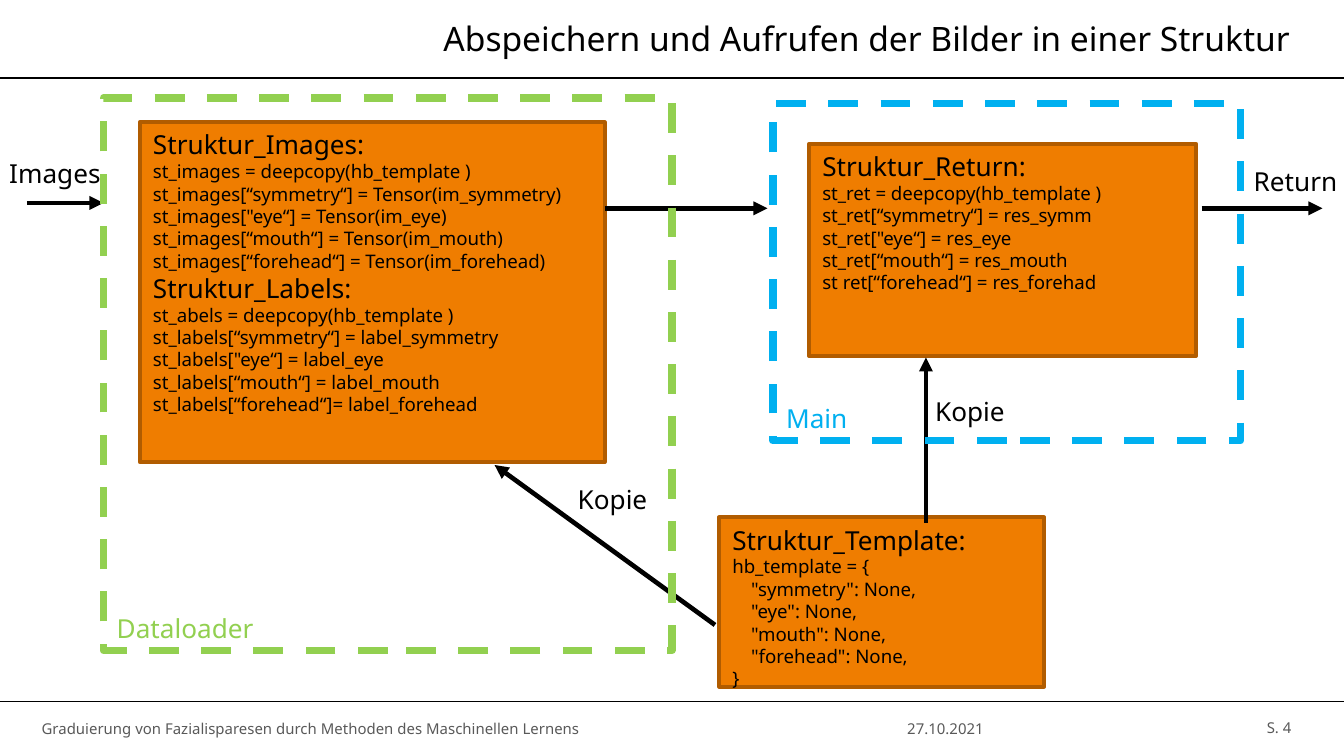
from lxml import etree
from pptx import Presentation
from pptx.dml.color import RGBColor
from pptx.enum.dml import MSO_LINE
from pptx.enum.shapes import MSO_CONNECTOR, MSO_SHAPE
from pptx.enum.text import MSO_ANCHOR, PP_ALIGN
from pptx.oxml.ns import qn
from pptx.util import Inches, Pt

RECT, STRAIGHT, DASH = MSO_SHAPE.RECTANGLE, MSO_CONNECTOR.STRAIGHT, MSO_LINE.DASH
TOP, MIDDLE, BOTTOM = MSO_ANCHOR.TOP, MSO_ANCHOR.MIDDLE, MSO_ANCHOR.BOTTOM
LEFT, CENTER, RIGHT = PP_ALIGN.LEFT, PP_ALIGN.CENTER, PP_ALIGN.RIGHT

FONT = "Noto Sans"
HEAD, CODE, SMALL = 14, 10, 8
COLORS = {"black": "000000", "gray": "595959", "orange": "EF7D00",
          "brown": "B15C00", "green": "92D050", "blue": "00B0F0"}


def color(name):
    return RGBColor.from_string(COLORS[name])


class StructureSlide:
    def __init__(self, slide):
        self.s = slide

    def paragraph(self, tf, text, size, ink, align=LEFT, indent=0):
        p = tf.paragraphs[0] if not tf.text else tf.add_paragraph()
        p.text = text
        p.alignment = align
        p.line_spacing = Pt(round(size * 1.2, 1))
        p.font.size, p.font.name = Pt(size), FONT
        p.font.color.rgb = color(ink)
        if indent:
            p._p.get_or_add_pPr().set("marL", str(Inches(indent)))

    def text(self, box, text, size=HEAD, ink="black", align=LEFT,
             anchor=TOP, margins=None):
        sp = self.s.shapes.add_textbox(*map(Inches, box))
        tf = sp.text_frame
        tf.word_wrap, tf.vertical_anchor = True, anchor
        if margins:
            tf.margin_left, tf.margin_right = map(Inches, margins)
            tf.margin_top = tf.margin_bottom = Inches(0.04)
        self.paragraph(tf, text, size, ink, align)

    def rect(self, box, line, width, anchor):
        sp = self.s.shapes.add_shape(RECT, *map(Inches, box))
        sp.shadow.inherit = False
        sp.line.color.rgb, sp.line.width = color(line), Pt(width)
        sp.text_frame.vertical_anchor = anchor
        return sp

    def struct(self, box, blocks):
        """Orange box; blocks maps each heading to its code lines."""
        sp = self.rect(box, "brown", 2, TOP)
        sp.fill.solid()
        sp.fill.fore_color.rgb = color("orange")
        for heading, lines in blocks.items():
            self.paragraph(sp.text_frame, heading, HEAD, "black")
            for line in lines:
                indent = 0.14 if line.startswith('"') else 0
                self.paragraph(sp.text_frame, line, CODE, "black", indent=indent)

    def frame(self, box, name, ink):
        sp = self.rect(box, ink, 4, BOTTOM)
        sp.fill.background()
        sp.line.dash_style = DASH
        self.paragraph(sp.text_frame, name, HEAD, ink)

    def line(self, x1, y1, x2, y2, width=1):
        c = self.s.shapes.add_connector(STRAIGHT, *map(Inches, (x1, y1, x2, y2)))
        c.line.color.rgb, c.line.width = color("black"), Pt(width)
        etree.SubElement(c._element.spPr, qn("a:effectLst"))
        return c

    def arrow(self, x1, y1, x2, y2):
        c = self.line(x1, y1, x2, y2, 2.5)
        etree.SubElement(c.line._get_or_add_ln(), qn("a:tailEnd"), type="triangle")


def main():
    prs = Presentation()
    prs.slide_width = Inches(10)
    prs.slide_height = Inches(10 * 9 / 16)
    page = StructureSlide(prs.slides.add_slide(prs.slide_layouts[6]))

    # Header and footer
    for y in (0.58, 5.22):
        page.line(0, y, 10, y)
    page.text((2.31, 0.11, 7.36, 0.35),
              "Abspeichern und Aufrufen der Bilder in einer Struktur",
              18, "black", RIGHT, MIDDLE, (0, 0.07))
    page.text((5.24, 5.22, 3.59, 0.4), "27.10.2021",
              SMALL, "gray", CENTER, MIDDLE, (0.07, 0.07))
    page.text((0.31, 5.22, 4.93, 0.4),
              "Graduierung von Fazialisparesen durch Methoden des Maschinellen Lernens",
              SMALL, "gray", LEFT, MIDDLE, (0, 0.07))
    page.text((8.81, 5.21, 0.87, 0.4), "S. 4",
              SMALL, "gray", RIGHT, MIDDLE, (0.07, 0.07))

    # Structures
    page.struct((5.35, 3.85, 2.42, 1.26), {"Struktur_Template:": [
        "hb_template = {", '"symmetry": None,', '"eye": None,',
        '"mouth": None,', '"forehead": None,', "}"]})
    page.struct((1.04, 0.91, 3.46, 2.53), {
        "Struktur_Images:": [
            "st_images = deepcopy(hb_template )",
            "st_images[“symmetry“] = Tensor(im_symmetry)",
            'st_images["eye“] = Tensor(im_eye)',
            "st_images[“mouth“] = Tensor(im_mouth)",
            "st_images[“forehead“] = Tensor(im_forehead)"],
        "Struktur_Labels:": [
            "st_abels = deepcopy(hb_template )",
            "st_labels[“symmetry“] = label_symmetry",
            'st_labels["eye“] = label_eye',
            "st_labels[“mouth“] = label_mouth",
            "st_labels[“forehead“]= label_forehead"]})
    page.struct((6.02, 1.07, 2.88, 1.58), {"Struktur_Return:": [
        "st_ret = deepcopy(hb_template )",
        "st_ret[“symmetry“] = res_symm",
        'st_ret["eye“] = res_eye',
        "st_ret[“mouth“] = res_mouth",
        "st ret[“forehead“] = res_forehad"]})

    # Data flow and copies of the template
    for ends in ((0.2, 1.51, 0.77, 1.51), (4.5, 1.55, 5.71, 1.55),
                 (8.94, 1.55, 9.84, 1.55), (5.32, 4.65, 3.68, 3.46),
                 (6.89, 3.89, 6.89, 2.66)):
        page.arrow(*ends)
    for x, y, w, label in ((-0.03, 1.12, 0.91, "Images"), (9.23, 1.18, 1.1, "Return"),
                           (6.86, 2.89, 1.1, "Kopie"), (4.2, 3.55, 1.1, "Kopie")):
        page.text((x, y, w, 0.34), label)

    # Program parts
    page.frame((0.77, 0.73, 4.23, 4.11), "Dataloader", "green")
    page.frame((5.75, 0.77, 3.48, 2.51), "Main", "blue")

    prs.save("out.pptx")


if __name__ == "__main__":
    main()
